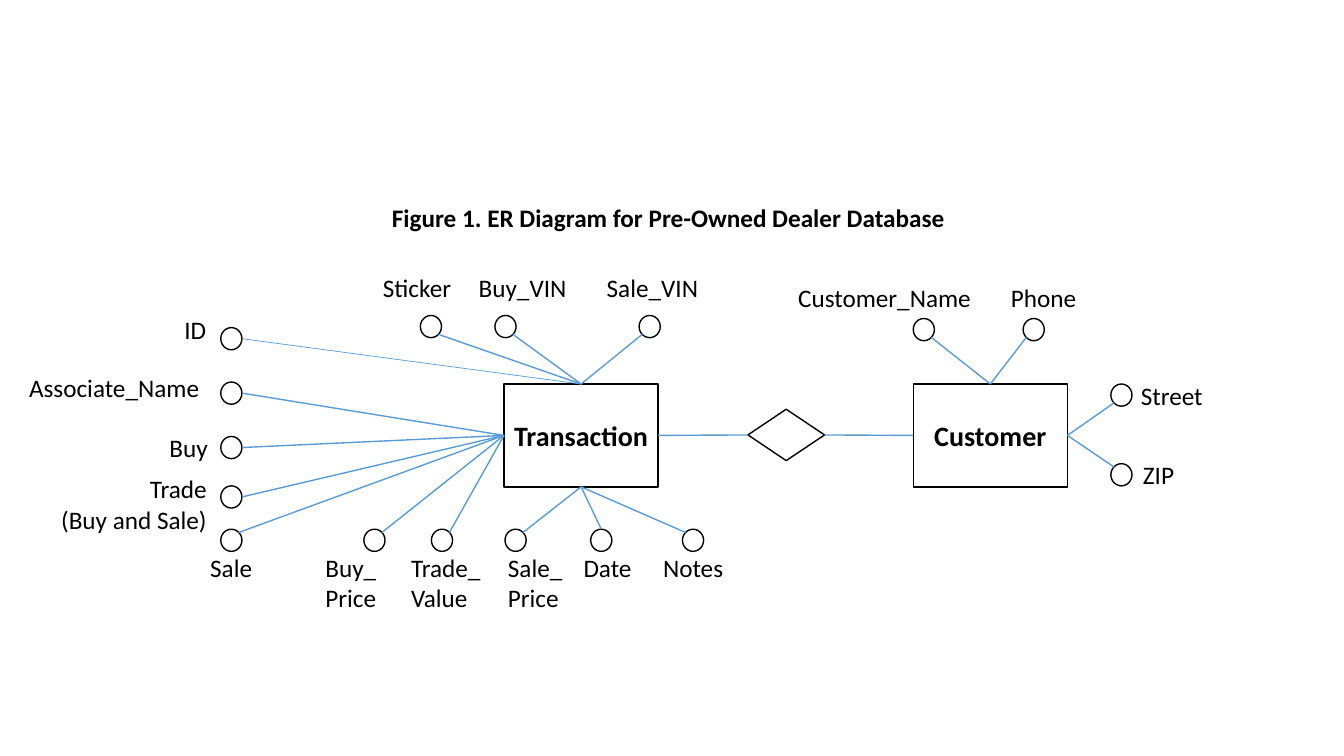
from dataclasses import dataclass

from lxml.etree import SubElement
from pptx import Presentation
from pptx.dml.color import RGBColor
from pptx.enum.shapes import MSO_CONNECTOR, MSO_SHAPE
from pptx.enum.text import MSO_ANCHOR, MSO_AUTO_SIZE, PP_ALIGN
from pptx.oxml.ns import qn
from pptx.util import Inches, Pt

# The grid has ten columns and ten rows to the inch.
COLUMNS, ROWS = 133.33, 75
COLORS = {"ink": "000000", "link": "5B9BD5"}
FONT = "Calibri"
RING_WIDTH, RING_HEIGHT = 2.1, 2.2
ENTITY_WIDTH, ENTITY_HEIGHT = 15.3, 10.2
LABEL_HEIGHTS = {1: 4.0, 2: 7.1}
LEFT, RIGHT, CENTER = PP_ALIGN.LEFT, PP_ALIGN.RIGHT, PP_ALIGN.CENTER

# Connection sites of rectangles and diamonds
SITES = {"top": 0, "left": 1, "bottom": 2, "right": 3}
# Points on a ring, as shares of its width and height
RIM = {
    "top": (0.5, 0), "right": (1, 0.5),
    "top left": (0.15, 0.15), "top right": (0.85, 0.15),
    "bottom left": (0.15, 0.85), "bottom right": (0.85, 0.85),
}


@dataclass
class Attribute:
    """An attribute whose ring and label are offset from its entity's corner."""
    lines: tuple
    side: str
    rim: str
    ring: tuple
    label: tuple  # column, row, width
    align: PP_ALIGN = LEFT
    weight: float = 1


TRANSACTION = [
    Attribute(("Sticker",), "top", "bottom right", (-8.3, -6.8), (-13, -11.6, 8.9)),
    Attribute(("Buy_VIN",), "top", "bottom right", (-0.9, -6.8), (-3.5, -11.6, 10.8)),
    Attribute(("Sale_VIN",), "top", "bottom left", (13.4, -6.8), (9.2, -11.6, 11.2)),
    Attribute(("ID",), "top", "right", (-28.1, -5.6), (-32.7, -7.4, 4.2), weight=0.5),
    Attribute(("Associate_Name",), "left", "right", (-28.1, -0.2), (-48.1, -1.7, 19.6)),
    Attribute(("Buy",), "left", "right", (-28.1, 5.2), (-34.3, 4.3, 5.9), RIGHT),
    Attribute(("Trade", "(Buy and Sale)"), "left", "right", (-28.1, 10.1),
              (-45.1, 8.4, 16.6), RIGHT),
    Attribute(("Sale",), "left", "top right", (-28.1, 14.4), (-30.2, 16.2, 6.2), RIGHT),
    Attribute(("Buy_", "Price"), "left", "top right", (-13.9, 14.4), (-18.7, 16.2, 7.1)),
    Attribute(("Trade_", "Value"), "left", "top right", (-7.2, 14.4), (-10.2, 16.2, 9)),
    Attribute(("Sale_", "Price"), "bottom", "top right", (0.1, 14.4), (-0.6, 16.2, 7.5)),
    Attribute(("Date",), "bottom", "top", (8.6, 14.4), (6.9, 16.2, 6.8)),
    Attribute(("Notes",), "bottom", "top left", (17.7, 14.4), (14.8, 16.2, 8)),
]
CUSTOMER = [
    Attribute(("Customer_Name",), "top", "bottom right", (0, -6.5), (-12.4, -10.6, 19.3)),
    Attribute(("Phone",), "top", "bottom left", (10.9, -6.5), (8.7, -10.6, 8.6)),
    Attribute(("Street",), "right", "bottom left", (19.6, 0), (21.6, -0.9, 8.2)),
    Attribute(("ZIP",), "right", "top left", (19.6, 7.9), (21.8, 7, 5.1)),
]


def grid(*cells):
    return [Inches(cell / 10) for cell in cells]


def color(name):
    return RGBColor.from_string(COLORS[name])


def write(frame, lines, size, bold=False, align=LEFT):
    for index, line in enumerate(lines):
        para = frame.paragraphs[0] if index == 0 else frame.add_paragraph()
        para.alignment = align
        span = para.add_run()
        span.text = line
        span.font.name = FONT
        span.font.size = Pt(size)
        span.font.bold = bold
        span.font.color.rgb = color("ink")


def add_outline(page, kind, box):
    shape = page.shapes.add_shape(kind, *grid(*box))
    shape.shadow.inherit = False
    shape.fill.background()
    shape.line.color.rgb = color("ink")
    shape.line.width = Pt(1)
    return shape


def add_label(page, lines, box, bold=False, align=LEFT):
    label = page.shapes.add_textbox(*grid(*box))
    label.text_frame.word_wrap = False
    label.text_frame.auto_size = MSO_AUTO_SIZE.SHAPE_TO_FIT_TEXT
    write(label.text_frame, lines, 18, bold, align)


def add_link(page, shape, side, end, weight=1):
    """Draw a line from a side of the shape to a point on the grid."""
    link = page.shapes.add_connector(MSO_CONNECTOR.STRAIGHT, 0, 0, *grid(*end))
    link.begin_connect(shape, SITES[side])
    link.line.color.rgb = color("link")
    link.line.width = Pt(weight)
    SubElement(link._element.spPr, qn("a:effectLst"))
    return link


def add_attribute(page, entity, corner, attribute):
    left, top = corner
    ring_left, ring_top = left + attribute.ring[0], top + attribute.ring[1]
    add_outline(page, MSO_SHAPE.OVAL, (ring_left, ring_top, RING_WIDTH, RING_HEIGHT))
    across, down = RIM[attribute.rim]
    end = ring_left + across * RING_WIDTH, ring_top + down * RING_HEIGHT
    add_link(page, entity, attribute.side, end, attribute.weight)
    column, row, width = attribute.label
    box = left + column, top + row, width, LABEL_HEIGHTS[len(attribute.lines)]
    add_label(page, attribute.lines, box, align=attribute.align)


def add_entity(page, name, box, attributes):
    entity = add_outline(page, MSO_SHAPE.RECTANGLE, box)
    frame = entity.text_frame
    frame.word_wrap = False
    frame.vertical_anchor = MSO_ANCHOR.MIDDLE
    write(frame, [name], 20, True, CENTER)
    for attribute in attributes:
        add_attribute(page, entity, box[:2], attribute)
    return entity


def add_relationship(page, box, left_entity, right_entity):
    diamond = add_outline(page, MSO_SHAPE.DIAMOND, box)
    left, top, width, height = box
    middle = top + height / 2
    add_link(page, left_entity, "right", (left, middle)).end_connect(diamond, SITES["left"])
    add_link(page, right_entity, "left", (left + width, middle)).end_connect(
        diamond, SITES["right"])


def main():
    deck = Presentation()
    deck.slide_width, deck.slide_height = grid(COLUMNS, ROWS)
    page = deck.slides.add_slide(deck.slide_layouts[6])
    add_label(page, ["Figure 1. ER Diagram for Pre-Owned Dealer Database"],
              (37.9, 19.6, 57.3, 4), bold=True)
    size = ENTITY_WIDTH, ENTITY_HEIGHT
    transaction = add_entity(page, "Transaction", (50, 38.1, *size), TRANSACTION)
    customer = add_entity(page, "Customer", (90.6, 38.1, *size), CUSTOMER)
    add_relationship(page, (74.2, 40.6, 7.6, 5.1), transaction, customer)
    deck.save("out.pptx")


if __name__ == "__main__":
    main()
